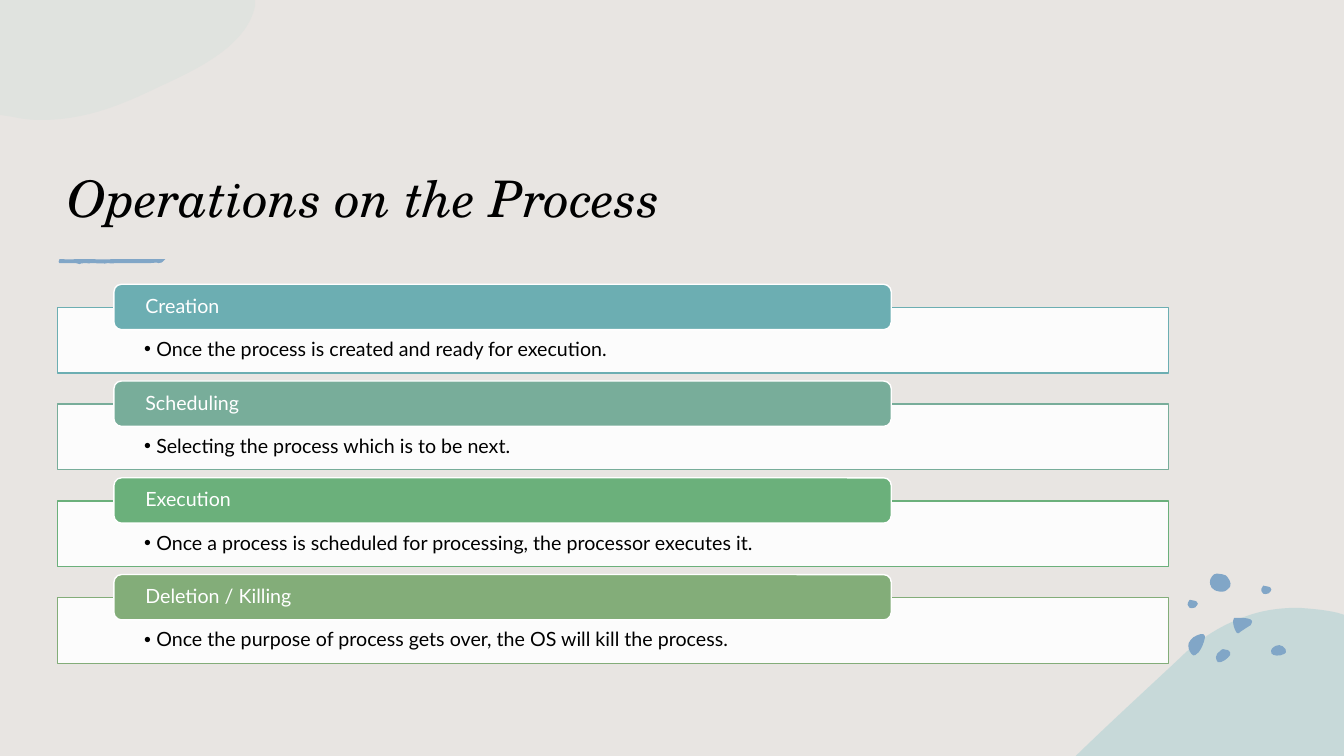
"""Build the slide that lists the operations on a process."""
from dataclasses import dataclass, replace

from lxml import etree
from pptx import Presentation
from pptx import util as u
from pptx.dml import color
from pptx.enum import shapes, text
from pptx.oxml import ns

BACKGROUND, BLUE, WHITE, BLACK = "E8E5E2", "81A6C7", "FFFFFF", "000000"
ROW_TOP, ROW_PITCH = 2.82, 0.96


@dataclass(frozen=True)
class Outline:
    """A closed outline in inches; a segment is a line (2 numbers) or a curve (6)."""
    start: tuple[float, float]
    segments: tuple[tuple[float, ...], ...]
    fill: str = BLUE
    opacity: int = 100
    shift: tuple[float, float] = (0, 0)


@dataclass(frozen=True)
class Operation:
    """One operation with its explanation and accent colour."""
    title: str
    detail: str
    accent: str


CORNER_BLOB = Outline((0, 0), (
    (2.53, 0), (2.53, 0.06), (2.45, 0.44, 2, 0.67, 1.58, 0.86),
    (1.23, 1.03, 0.86, 1.19, 0.41, 1.19), (0.31, 1.19, 0.22, 1.18, 0.13, 1.16),
    (0, 1.14)), "C9DED7", 25)
UNDERLINE = Outline((0.86, 2.61), (
    (0.87, 2.61, 0.89, 2.62, 0.9, 2.61), (0.92, 2.61), (0.94, 2.61, 1.05, 2.62, 1.07, 2.61),
    (1.09, 2.61, 1.12, 2.62, 1.15, 2.61), (1.33, 2.61), (1.49, 2.61),
    (1.5, 2.61, 1.57, 2.6, 1.57, 2.61), (1.63, 2.61, 1.61, 2.58, 1.64, 2.57),
    (1.33, 2.57), (1.11, 2.57), (1.06, 2.58, 0.94, 2.57, 0.88, 2.57), (0.75, 2.57),
    (0.7, 2.58, 0.64, 2.57, 0.59, 2.57), (0.58, 2.58, 0.57, 2.62, 0.61, 2.61),
    (0.75, 2.61), (0.76, 2.62, 0.78, 2.61, 0.79, 2.62), (0.79, 2.61, 0.86, 2.61, 0.86, 2.61)))
HILL = Outline((12.88, 6.03), (
    (13.01, 6.04, 13.14, 6.05, 13.27, 6.08), (13.33, 6.1), (13.33, 7.5),
    (10.67, 7.5), (10.68, 7.49), (11.02, 7.16, 11.37, 6.84, 11.69, 6.54),
    (11.91, 6.32, 12.14, 6.19, 12.37, 6.11),
    (12.54, 6.05, 12.71, 6.03, 12.88, 6.03)), "A7CED1", 50)
SMALL_PEBBLE = Outline((12.51, 5.86), (
    (12.51, 5.86, 12.51, 5.82, 12.53, 5.81), (12.55, 5.81, 12.56, 5.81, 12.58, 5.82),
    (12.59, 5.82, 12.61, 5.83, 12.61, 5.85), (12.61, 5.86, 12.6, 5.87, 12.59, 5.88),
    (12.59, 5.88, 12.59, 5.89, 12.57, 5.89), (12.56, 5.89, 12.54, 5.9, 12.53, 5.89),
    (12.52, 5.87, 12.51, 5.87, 12.51, 5.86)))
PEBBLES = (
    Outline((12.13, 6.44), (
        (12.15, 6.44, 12.16, 6.44, 12.18, 6.45), (12.2, 6.46, 12.21, 6.48, 12.2, 6.5),
        (12.18, 6.53, 12.12, 6.58, 12.08, 6.57), (12.07, 6.56, 12.06, 6.54, 12.06, 6.52),
        (12.06, 6.5, 12.08, 6.47, 12.1, 6.46), (12.11, 6.45, 12.12, 6.44, 12.13, 6.44))),
    Outline((11.91, 6.29), (
        (11.93, 6.29, 11.95, 6.29, 11.95, 6.31), (11.95, 6.32, 11.95, 6.32, 11.95, 6.33),
        (11.94, 6.38, 11.92, 6.43, 11.89, 6.47), (11.87, 6.49, 11.84, 6.52, 11.82, 6.49),
        (11.79, 6.46, 11.78, 6.41, 11.79, 6.38), (11.8, 6.35, 11.82, 6.34, 11.84, 6.32),
        (11.85, 6.32, 11.88, 6.29, 11.91, 6.29))),
    Outline((12.69, 6.4), (
        (12.71, 6.4, 12.74, 6.42, 12.75, 6.44), (12.76, 6.46, 12.76, 6.48, 12.73, 6.49),
        (12.7, 6.51, 12.62, 6.51, 12.61, 6.48), (12.6, 6.46, 12.61, 6.44, 12.62, 6.43),
        (12.64, 6.41, 12.66, 6.4, 12.69, 6.4))),
    Outline((12.01, 5.81), (
        (12, 5.81, 11.99, 5.75, 12.02, 5.72), (12.04, 5.7, 12.04, 5.69, 12.07, 5.69),
        (12.1, 5.69, 12.14, 5.7, 12.16, 5.71), (12.18, 5.73, 12.22, 5.78, 12.2, 5.82),
        (12.17, 5.85, 12.16, 5.87, 12.12, 5.87), (12.09, 5.87, 12.04, 5.86, 12.03, 5.84),
        (12.01, 5.83, 12.01, 5.82, 12.01, 5.81))),
    SMALL_PEBBLE,
    replace(SMALL_PEBBLE, shift=(-0.73, 0.14)),
    Outline((12.28, 6.13), (
        (12.34, 6.13, 12.45, 6.13, 12.41, 6.19), (12.41, 6.2, 12.4, 6.21, 12.39, 6.21),
        (12.36, 6.23, 12.33, 6.25, 12.3, 6.27), (12.29, 6.28, 12.28, 6.29, 12.27, 6.28),
        (12.27, 6.28, 12.26, 6.27, 12.26, 6.27), (12.24, 6.23, 12.23, 6.2, 12.23, 6.16),
        (12.23, 6.15, 12.23, 6.14, 12.24, 6.13), (12.24, 6.13, 12.25, 6.13, 12.25, 6.13),
        (12.26, 6.13, 12.27, 6.13, 12.28, 6.13))),
)
OPERATIONS = (
    Operation("Creation", "Once the process is created and ready for execution.", "6CAEB2"),
    Operation("Scheduling", "Selecting the process which is to be next.", "78AD9A"),
    Operation("Execution",
              "Once a process is scheduled for processing, the processor executes it.", "6BB07B"),
    Operation("Deletion / Killing",
              "Once the purpose of process gets over, the OS will kill the process.", "83AD79"),
)


def rgb(value: str) -> color.RGBColor:
    """Turn a hex string into a colour."""
    return color.RGBColor.from_string(value)


def apply_format(target, values: dict) -> None:
    """Set each named attribute on the target."""
    for name, value in values.items():
        setattr(target, name, value)


def paint(shape, fill: str, opacity: int = 100, line: str = "") -> None:
    """Give a shape its fill, opacity and optional one-point line."""
    shape.shadow.inherit = False
    shape.fill.solid()
    shape.fill.fore_color.rgb = rgb(fill)
    if opacity < 100:
        tint = shape.fill._xPr.find(".//" + ns.qn("a:srgbClr"))
        etree.SubElement(tint, ns.qn("a:alpha"), val=str(opacity * 1000))
    if line:
        shape.line.color.rgb = rgb(line)
        shape.line.width = u.Pt(1)
    else:
        shape.line.fill.background()


def write(shape, words: str, frame_format: dict, font_format: dict, ink: str,
          spacing: float = 1, bullet: bool = False) -> None:
    """Write one left-aligned paragraph into a shape."""
    frame = shape.text_frame
    apply_format(frame, {"word_wrap": True, **frame_format})
    paragraph = frame.paragraphs[0]
    apply_format(paragraph, {"text": words, "alignment": text.PP_ALIGN.LEFT,
                             "line_spacing": spacing})
    if bullet:
        properties = paragraph._p.get_or_add_pPr()
        apply_format(paragraph, {"level": 1})
        properties.set("marL", str(u.Inches(0.12)))
        properties.set("indent", str(u.Inches(-0.12)))
        etree.SubElement(properties, ns.qn("a:buFont"), typeface="Arial")
        etree.SubElement(properties, ns.qn("a:buChar"), char="•")
    font = paragraph.runs[0].font
    apply_format(font, font_format)
    font.color.rgb = rgb(ink)


def draw_outline(slide, outline: Outline) -> None:
    """Draw an outline as a filled freeform, bending its curved segments."""
    dx, dy = outline.shift

    def place(x: float, y: float) -> tuple[int, int]:
        return u.Inches(x + dx), u.Inches(y + dy)

    builder = slide.shapes.build_freeform(*place(*outline.start), scale=1.0)
    builder.add_line_segments([place(*segment[-2:]) for segment in outline.segments], close=False)
    shape = builder.convert_to_shape()
    lines = shape._element.findall(".//" + ns.qn("a:lnTo"))
    for line, segment in zip(lines, outline.segments):
        if len(segment) == 6:
            line.tag = ns.qn("a:cubicBezTo")
            for index, pair in enumerate((segment[:2], segment[2:4])):
                x, y = place(*pair)
                point = etree.Element(ns.qn("a:pt"), x=str(x - shape.left), y=str(y - shape.top))
                line.insert(index, point)
    etree.SubElement(lines[0].getparent(), ns.qn("a:close"))
    paint(shape, outline.fill, outline.opacity)


def draw_operation(slide, operation: Operation, top: float) -> None:
    """Draw the detail panel with its title bar on top."""
    font_format = {"name": "Lato", "size": u.Pt(14)}
    panel = slide.shapes.add_shape(shapes.MSO_SHAPE.RECTANGLE, u.Inches(0.57),
                                   u.Inches(top + 0.23), u.Inches(11.02), u.Inches(0.65))
    paint(panel, WHITE, 90, operation.accent)
    write(panel, operation.detail,
          {"margin_left": u.Inches(0.86), "margin_right": u.Inches(0.86),
           "margin_top": u.Inches(0.32), "margin_bottom": u.Inches(0.11),
           "vertical_anchor": text.MSO_ANCHOR.TOP}, font_format, BLACK, 0.9, bullet=True)
    bar = slide.shapes.add_shape(shapes.MSO_SHAPE.ROUNDED_RECTANGLE, u.Inches(1.13),
                                 u.Inches(top), u.Inches(7.71), u.Inches(0.45))
    paint(bar, operation.accent, line=WHITE)
    write(bar, operation.title,
          {"margin_left": u.Inches(0.29), "margin_right": u.Inches(0.29),
           "margin_top": 0, "margin_bottom": 0,
           "vertical_anchor": text.MSO_ANCHOR.MIDDLE}, font_format, WHITE, 0.9)


def main() -> None:
    """Build and save the slide."""
    deck = Presentation()
    apply_format(deck, {"slide_width": u.Inches(13.33), "slide_height": u.Inches(7.5)})
    slide = deck.slides.add_slide(deck.slide_layouts[6])
    slide.background.fill.solid()
    slide.background.fill.fore_color.rgb = rgb(BACKGROUND)
    draw_outline(slide, CORNER_BLOB)
    heading = slide.shapes.add_textbox(u.Inches(0.57), u.Inches(0.86),
                                       u.Inches(11.02), u.Inches(1.45))
    write(heading, "Operations on the Process", {"vertical_anchor": text.MSO_ANCHOR.BOTTOM},
          {"name": "TeX Gyre Schola", "size": u.Pt(36), "italic": True}, BLACK)
    for outline in (UNDERLINE, HILL, *PEBBLES):
        draw_outline(slide, outline)
    for row, operation in enumerate(OPERATIONS):
        draw_operation(slide, operation, ROW_TOP + row * ROW_PITCH)
    deck.save("out.pptx")


if __name__ == "__main__":
    main()
